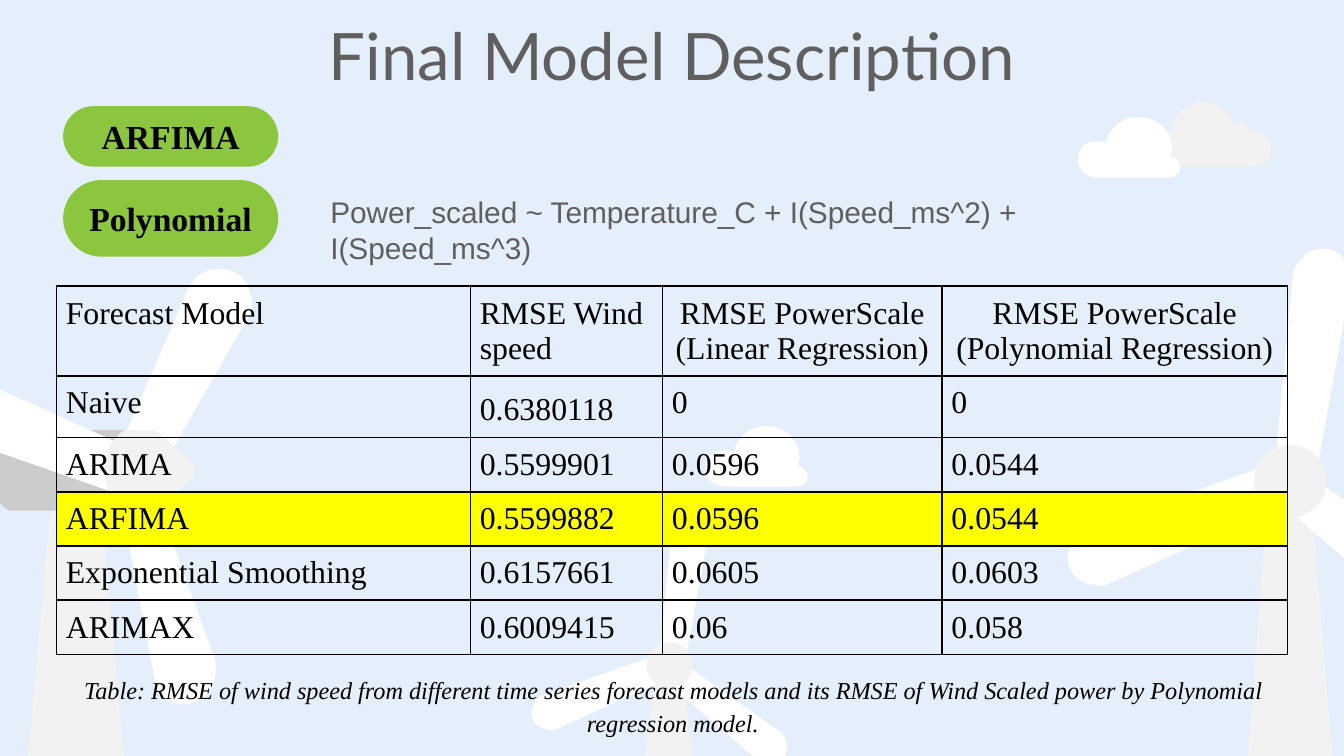
from typing import NamedTuple

from lxml import etree
from pptx import Presentation
from pptx import util as u
from pptx.dml.color import RGBColor
from pptx.enum import shapes, text
from pptx.oxml import ns

PX = 9144
FINE = 100
CURVE_STEPS = 8
PAGE_WIDTH = 1000
GROUND = 585

SKY = RGBColor(0xE5, 0xEF, 0xFB)
WHITE = RGBColor(0xFF, 0xFF, 0xFF)
PALE = RGBColor(0xF2, 0xF2, 0xF2)
SILVER = RGBColor(0xCC, 0xCC, 0xCC)
GREEN = RGBColor(0x8C, 0xC6, 0x3F)
YELLOW = RGBColor(0xFF, 0xFF, 0x00)
GRAY = RGBColor(0x5F, 0x5F, 0x5F)
BLACK = RGBColor(0, 0, 0)
SERIF = "Times New Roman"


class Style(NamedTuple):
    font: str
    size: int
    color: RGBColor
    bold: bool = False
    italic: bool = False


class Frame(NamedTuple):
    left: int
    top: int
    width: int
    height: int


class Outline(NamedTuple):
    color: RGBColor
    start: tuple
    steps: tuple


class Turbine(NamedTuple):
    x: int
    y: int
    factor: float


class Pill(NamedTuple):
    label: str
    frame: Frame


TITLE = Style("Lato", 35, GRAY)
PILL = Style(SERIF, 18, BLACK, bold=True)
CELL = Style(SERIF, 17, BLACK)
CAPTION = Style(SERIF, 13, BLACK, italic=True)
FORMULA = Style("Arial", 16, GRAY)

SMALL_CLOUD = Outline(WHITE, (45, 0), (
    (33, 0, 23, 8, 21, 20), (19, 18, 17, 18, 14, 18), (6, 18, 0, 24, 0, 31),
    (0, 39, 6, 45, 14, 45), (68, 45), (72, 45, 76, 42, 76, 38),
    (76, 34, 73, 30, 69, 30), (69, 28, 70, 26, 70, 24), (70, 10, 59, 0, 45, 0)))
WIDE_CLOUD = Outline(PALE, (44, 0), (
    (31, 0, 21, 10, 20, 22), (18, 21, 16, 21, 14, 21), (6, 21, 0, 27, 0, 35),
    (0, 42, 6, 48, 14, 48), (82, 48), (89, 48, 95, 42, 95, 35),
    (95, 27, 89, 21, 81, 21), (80, 21, 80, 21, 79, 21), (78, 18, 75, 15, 72, 15),
    (70, 15, 69, 15, 67, 16), (64, 7, 55, 0, 44, 0)))
BLADES = (
    Outline(WHITE, (19, -1), (
        (-9, 15), (106, 114), (109, 117, 113, 118, 118, 119), (121, 119),
        (136, 119, 145, 105, 140, 92), (139, 88), (138, 85, 135, 82, 132, 79))),
    Outline(WHITE, (24, -173), (
        (18, -173, 13, -171, 9, -166), (7, -164), (4, -160, 2, -157, 2, -153),
        (-11, -15), (18, 2), (45, -147), (46, -152, 45, -156, 43, -160),
        (42, -163), (38, -170, 31, -173, 24, -173))),
    Outline(WHITE, (-8, -15), (
        (-151, 36), (-155, 37, -158, 40, -161, 44), (-162, 47),
        (-170, 59, -163, 74, -149, 77), (-145, 77),
        (-142, 79, -138, 78, -134, 76), (-8, 19))),
)
SIDE_TURBINE = (
    Outline(PALE, (75, 375), ((94, 585), (19, 585), (38, 375), (56, 378))),
    Outline(SILVER, (100, 320), (
        (100, 380), (7, 380), (7, 380, -8, 374, -8, 350), (-8, 327, 7, 320, 7, 320))),
    Outline(WHITE, (-64, 263), (
        (-61, 263, -58, 264, -55, 265), (89, 330), (89, 368), (-74, 311),
        (-79, 309, -83, 306, -86, 302), (-88, 298), (-96, 285, -88, 267, -72, 264),
        (-68, 264))),
    Outline(WHITE, (164, 200), (
        (174, 200, 184, 207, 186, 218), (187, 221), (188, 226, 187, 232, 184, 237),
        (124, 342), (92, 326), (140, 215), (143, 209, 148, 204, 153, 202),
        (156, 201), (159, 200, 161, 200, 164, 200))),
    Outline(WHITE, (114, 364), (
        (160, 491), (161, 496, 161, 502, 159, 507), (159, 509),
        (155, 519, 146, 524, 137, 524), (133, 524, 129, 523, 125, 521),
        (120, 517, 116, 512, 115, 505), (89, 368))),
    Outline(PALE, (111, 320), (
        (114, 320, 116, 321, 119, 323), (140, 341), (146, 346, 146, 354, 140, 359),
        (119, 377), (116, 379, 114, 380, 111, 380), (93, 380),
        (93, 380, 78, 374, 78, 350), (78, 327, 93, 320, 93, 320))),
)
PILLS = (Pill("ARFIMA", Frame(47, 79, 160, 45)), Pill("Polynomial", Frame(47, 134, 160, 57)))
COLUMNS = (308, 143, 208, 257)
ROW_HEIGHTS = (66, 46, 40, 40, 40, 40)
ROWS = (
    ("Forecast Model", "RMSE Wind speed", "RMSE PowerScale (Linear Regression)",
     "RMSE PowerScale\n(Polynomial Regression)"),
    ("Naive", "0.6380118", "0", "0"),
    ("ARIMA", "0.5599901", "0.0596", "0.0544"),
    ("ARFIMA", "0.5599882", "0.0596", "0.0544"),
    ("Exponential Smoothing", "0.6157661", "0.0605", "0.0603"),
    ("ARIMAX", "0.6009415", "0.06", "0.058"),
)


def emu(frame: Frame) -> list:
    return [length * PX for length in frame]


def paint(shape, color: RGBColor) -> None:
    shape.shadow.inherit = False
    shape.fill.solid()
    shape.fill.fore_color.rgb = color
    shape.line.fill.background()


def trace(outline: Outline) -> list:
    points = [outline.start]
    for step in outline.steps:
        if len(step) == 2:
            points.append(step)
            continue
        anchors = (points[-1], step[:2], step[2:4], step[4:])
        for index in range(1, CURVE_STEPS + 1):
            t = index / CURVE_STEPS
            weights = ((1 - t) ** 3, 3 * t * (1 - t) ** 2, 3 * t * t * (1 - t), t ** 3)
            points.append(tuple(
                sum(w * a[axis] for w, a in zip(weights, anchors)) for axis in (0, 1)))
    return [(x * FINE, y * FINE) for x, y in points]


def draw_outline(parent, outline: Outline, x: int = 0, y: int = 0, factor: float = 1) -> None:
    points = trace(outline)
    builder = parent.shapes.build_freeform(*points[0], scale=PX * factor / FINE)
    builder.add_line_segments(points[1:], close=True)
    paint(builder.convert_to_shape(x * PX, y * PX), outline.color)


def draw_turbine(page, turbine: Turbine) -> None:
    x, y, factor = turbine
    group = page.shapes.add_group_shape()
    base = (GROUND - y) / factor
    tower = Outline(PALE, (-17, 16), ((-33, base), (33, base), (16, 16), (0, 19)))
    for outline in (tower, *BLADES):
        draw_outline(group, outline, x, y, factor)
    radius = round(27 * factor)
    hub = Frame(x - radius, y - radius, 2 * radius, 2 * radius)
    paint(group.shapes.add_shape(shapes.MSO_SHAPE.OVAL, *emu(hub)), PALE)


def write(frame, words: str, style: Style, align=text.PP_ALIGN.LEFT, spacing=None) -> None:
    for index, line in enumerate(words.split("\n")):
        para = frame.add_paragraph() if index else frame.paragraphs[0]
        para.alignment = align
        para.line_spacing = spacing
        span = para.add_run()
        span.text = line
        font = span.font
        font.name, font.size, font.color.rgb = style.font, u.Pt(style.size), style.color
        font.bold, font.italic = style.bold, style.italic


def set_frame(frame, anchor, fit) -> None:
    frame.word_wrap = True
    frame.auto_size = fit
    frame.vertical_anchor = anchor
    frame.margin_left = frame.margin_right = frame.margin_top = frame.margin_bottom = 10 * PX


def add_note(page, place: Frame, words: str, style: Style, align, spacing=None) -> None:
    frame = page.shapes.add_textbox(*emu(place)).text_frame
    set_frame(frame, text.MSO_ANCHOR.TOP, text.MSO_AUTO_SIZE.SHAPE_TO_FIT_TEXT)
    write(frame, words, style, align, spacing)


def add_pill(page, pill: Pill) -> None:
    box = page.shapes.add_shape(shapes.MSO_SHAPE.ROUNDED_RECTANGLE, *emu(pill.frame))
    box.adjustments[0] = 0.5
    paint(box, GREEN)
    set_frame(box.text_frame, text.MSO_ANCHOR.MIDDLE, text.MSO_AUTO_SIZE.NONE)
    write(box.text_frame, pill.label, PILL, text.PP_ALIGN.CENTER)


def add_borders(cell) -> None:
    properties = cell._tc.get_or_add_tcPr()
    for side in ("a:lnL", "a:lnR", "a:lnT", "a:lnB"):
        line = etree.SubElement(properties, ns.qn(side), w=str(u.Pt(1)))
        fill = etree.SubElement(line, ns.qn("a:solidFill"))
        etree.SubElement(fill, ns.qn("a:srgbClr"), val=str(BLACK))


def add_results(page) -> None:
    place = Frame(42, 213, sum(COLUMNS), sum(ROW_HEIGHTS))
    table = page.shapes.add_table(len(ROWS), len(COLUMNS), *emu(place)).table
    table.first_row = table.horz_banding = False
    for column, width in zip(table.columns, COLUMNS):
        column.width = width * PX
    for r, (row, height) in enumerate(zip(ROWS, ROW_HEIGHTS)):
        table.rows[r].height = height * PX
        for c, words in enumerate(row):
            cell = table.cell(r, c)
            cell.margin_left = cell.margin_right = cell.margin_top = cell.margin_bottom = 7 * PX
            add_borders(cell)
            if row[0] == "ARFIMA":
                cell.fill.solid()
                cell.fill.fore_color.rgb = YELLOW
            else:
                cell.fill.background()
            centred = r == 0 and c >= 2
            write(cell.text_frame, words, CELL,
                  text.PP_ALIGN.CENTER if centred else text.PP_ALIGN.LEFT,
                  1.2 if (r, c) == (1, 1) else None)


def main() -> None:
    deck = Presentation()
    deck.slide_width = PAGE_WIDTH * PX
    deck.slide_height = deck.slide_width * 9 // 16
    page = deck.slides.add_slide(deck.slide_layouts[5])
    page.background.fill.solid()
    page.background.fill.fore_color.rgb = SKY

    title = page.shapes.title
    title.left, title.top, title.width, title.height = emu(Frame(78, 6, 844, 69))
    set_frame(title.text_frame, text.MSO_ANCHOR.MIDDLE, text.MSO_AUTO_SIZE.NONE)
    write(title.text_frame, "Final Model Description", TITLE, text.PP_ALIGN.CENTER)

    draw_turbine(page, Turbine(498, 495, 0.62))
    draw_outline(page, SMALL_CLOUD, 525, 317)
    clouds = page.shapes.add_group_shape()
    draw_outline(clouds, WIDE_CLOUD, 851, 76)
    draw_outline(clouds, SMALL_CLOUD, 802, 87)
    side_turbine = page.shapes.add_group_shape()
    for outline in SIDE_TURBINE:
        draw_outline(side_turbine, outline)
    draw_turbine(page, Turbine(960, 358, 1))

    add_results(page)
    add_note(page, Frame(21, 489, 959, 67),
             "Table: RMSE of wind speed from different time series forecast models and its "
             "RMSE of Wind Scaled power by Polynomial regression model.",
             CAPTION, text.PP_ALIGN.CENTER, 1.15)
    for pill in PILLS:
        add_pill(page, pill)
    add_note(page, Frame(236, 134, 686, 47),
             "Power_scaled ~ Temperature_C + I(Speed_ms^2) + I(Speed_ms^3)",
             FORMULA, text.PP_ALIGN.LEFT)
    deck.save("out.pptx")


if __name__ == "__main__":
    main()
